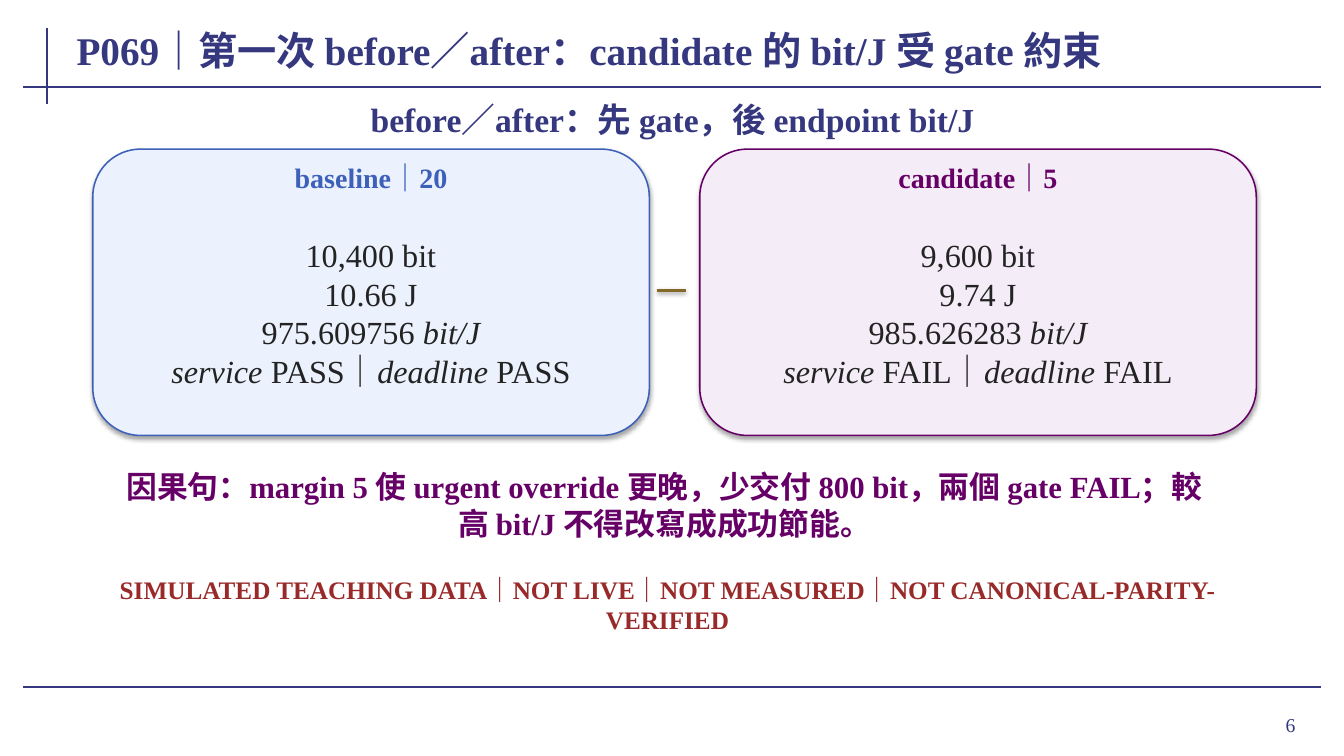
from dataclasses import dataclass
from lxml import etree
from pptx import Presentation
from pptx.dml.color import RGBColor
from pptx.enum.shapes import MSO_CONNECTOR, MSO_SHAPE
from pptx.enum.text import MSO_ANCHOR, MSO_AUTO_SIZE, PP_ALIGN
from pptx.oxml.ns import qn
from pptx.util import Inches, Pt

LINE = MSO_CONNECTOR.STRAIGHT
ROUND = MSO_SHAPE.ROUNDED_RECTANGLE
LEFT, MID, RIGHT = PP_ALIGN.LEFT, PP_ALIGN.CENTER, PP_ALIGN.RIGHT
CENTER = MSO_ANCHOR.MIDDLE
GROW, FIXED = MSO_AUTO_SIZE.SHAPE_TO_FIT_TEXT, MSO_AUTO_SIZE.NONE


@dataclass
class Theme:
    font: str = "Times New Roman"
    navy: str = "35377F"
    blue: str = "3D61B9"
    sky: str = "ECF1FE"
    plum: str = "660066"
    lilac: str = "F4EDF7"
    ink: str = "232323"
    gold: str = "846826"
    red: str = "992A2A"
    title: int = 28
    head: int = 24
    body: int = 23
    cause: int = 22
    label: int = 20
    note: int = 18
    page: int = 14


theme = Theme()


def write(box, lines, size, color, bold=False, align=MID, fit=GROW):
    frame = box.text_frame
    frame.word_wrap = True
    frame.auto_size = fit
    frame.vertical_anchor = CENTER
    frame.margin_left = frame.margin_right = Inches(0.08)
    frame.margin_top = frame.margin_bottom = Inches(0.04)
    for row, parts in enumerate(lines):
        para = frame.add_paragraph() if row else frame.paragraphs[0]
        para.alignment = align
        for text, slant in parts:
            run = para.add_run()
            run.text = text
            font = run.font
            font.name, font.size = theme.font, Pt(size)
            font.bold, font.italic = bold, slant
            font.color.rgb = RGBColor.from_string(color)


def stroke(shape, color, width, shade=None):
    shape.line.color.rgb = RGBColor.from_string(color)
    shape.line.width = Pt(width)
    fx = etree.SubElement(shape._element.spPr, qn("a:effectLst"))
    if shade:
        drop, alpha = shade
        cast = etree.SubElement(fx, qn("a:outerShdw"), blurRad=str(Pt(3.1)),
                                dist=str(Pt(drop)), dir="5400000", rotWithShape="0")
        tint = etree.SubElement(cast, qn("a:srgbClr"), val="000000")
        etree.SubElement(tint, qn("a:alpha"), val=str(alpha * 1000))


deck = Presentation()
deck.slide_width, deck.slide_height = Inches(13.33), Inches(7.5)
slide = deck.slides.add_slide(deck.slide_layouts[5])
shapes = slide.shapes

for ends in [(0.47, 0.28, 0.47, 1.03), (0.23, 0.86, 13.1, 0.86), (0.23, 6.82, 13.1, 6.82)]:
    rule = shapes.add_connector(LINE, *map(Inches, ends))
    stroke(rule, theme.navy, 1.5)

title = shapes.title
title.left, title.top = Inches(0.68), Inches(0.18)
title.width, title.height = Inches(11.95), Inches(0.62)
write(title, [[("P069｜第一次 before／after：candidate 的 bit/J 受 gate 約束", False)]],
      theme.title, theme.navy, True, LEFT, FIXED)

page = shapes.add_textbox(Inches(11.96), Inches(6.93), Inches(0.97), Inches(0.52))
write(page, [[("6", False)]], theme.page, theme.navy, align=RIGHT, fit=FIXED)

texts = [
    ((0.86, 0.94, 11.62, 0.48), "before／after：先 gate，後 endpoint bit/J", theme.head, theme.navy),
    ((1.04, 4.68, 11.1, 0.66),
     "因果句：margin 5 使 urgent override 更晚，少交付 800 bit，兩個 gate FAIL；較高 bit/J 不得改寫成成功節能。",
     theme.cause, theme.plum),
    ((0.72, 5.86, 11.8, 0.27),
     "SIMULATED TEACHING DATA｜NOT LIVE｜NOT MEASURED｜NOT CANONICAL-PARITY-VERIFIED",
     theme.note, theme.red),
]
for area, text, size, color in texts:
    box = shapes.add_textbox(*map(Inches, area))
    write(box, [[(text, False)]], size, color, True)

cards = [
    ("baseline｜20", "10,400", "10.66", "975.609756", "PASS", theme.blue, theme.sky),
    ("candidate｜5", "9,600", "9.74", "985.626283", "FAIL", theme.plum, theme.lilac),
]
for col, (name, bits, joules, ratio, gate, color, fill) in enumerate(cards):
    left = 0.92 + col * 6.02
    card = shapes.add_shape(ROUND, Inches(left), Inches(1.48), Inches(5.52), Inches(2.84))
    card.fill.solid()
    card.fill.fore_color.rgb = RGBColor.from_string(fill)
    stroke(card, color, 1.1, (1.8, 35))
    label = shapes.add_textbox(Inches(left + 0.14), Inches(1.6), Inches(5.24), Inches(0.32))
    write(label, [[(name, False)]], theme.label, color, True)
    facts = shapes.add_textbox(Inches(left + 0.16), Inches(2), Inches(5.2), Inches(2.2))
    write(facts, [
        [(f"{bits} bit", False)],
        [(f"{joules} J", False)],
        [(f"{ratio} ", False), ("bit/J", True)],
        [("service", True), (f" {gate}｜", False), ("deadline", True), (f" {gate}", False)],
    ], theme.body, theme.ink)

link = shapes.add_connector(LINE, Inches(6.52), Inches(2.88), Inches(6.8), Inches(2.88))
stroke(link, theme.gold, 2, (1.6, 38))

deck.save("out.pptx")
